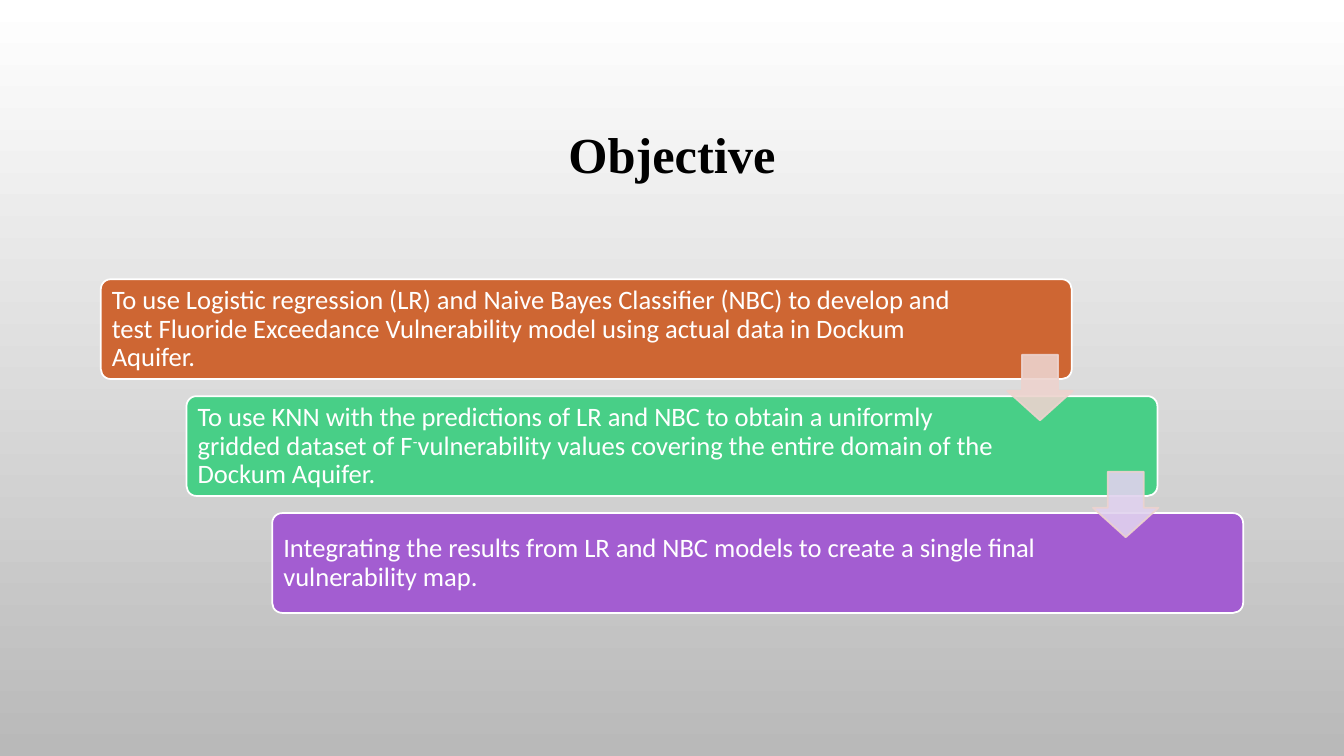
from lxml.etree import SubElement
from pptx import Presentation
from pptx.dml.color import RGBColor
from pptx.enum.shapes import MSO_SHAPE as Shape
from pptx.enum.text import MSO_ANCHOR as Anchor, PP_ALIGN as Align
from pptx.oxml.ns import qn
from pptx.util import Inches, Pt

COLORS = {
    "white": "FFFFFF", "gray": "B9B9B9", "black": "000000",
    "orange": "CE6633", "green": "48CF87", "purple": "A35DD1",
    "pink": "EDD3CE", "lavender": "E0D2EE",
}

# Each step: fill, text width, runs as (text, is superscript)
STEPS = [
    ("orange", 8.56, [
        ("To use Logistic regression (LR) and Naive Bayes Classifier (NBC) to develop and "
         "test Fluoride Exceedance Vulnerability model using actual data in Dockum Aquifer.", False)]),
    ("green", 8.08, [
        ("To use KNN with the predictions of LR and NBC to obtain a uniformly "
         "gridded dataset of F", False),
        ("-", True),
        ("vulnerability values covering the entire domain of the Dockum Aquifer.", False)]),
    ("purple", 8.08, [
        ("Integrating the results from LR and NBC models to create a single final "
         "vulnerability map.", False)]),
]
ARROW_FILLS = ["pink", "lavender"]
LEFT, TOP = 1, 2.77
STEP_X, STEP_Y = 0.85, 1.16
BAR_WIDTH, BAR_HEIGHT = 9.63, 0.99
TEXT_OFFSET, TEXT_HEIGHT = 0.03, 0.94
ARROW_X, ARROW_Y, ARROW_SIZE = 8.99, 0.75, 0.65


def rgb(name):
    return RGBColor.from_string(COLORS[name])


class SlideBuilder:
    def __init__(self, page):
        self.page = page

    def background(self, *names):
        """Fill the page from top to bottom with a gradient."""
        fill = self.page.background.fill
        fill.gradient()
        fill.gradient_angle = 270
        for stop, name in zip(fill.gradient_stops, names):
            stop.color.rgb = rgb(name)

    def shape(self, kind, area, adjustments, fill, line, opacity=100):
        shape = self.page.shapes.add_shape(kind, *map(Inches, area))
        shape.shadow.inherit = False
        for index, value in enumerate(adjustments):
            shape.adjustments[index] = value
        shape.fill.solid()
        shape.fill.fore_color.rgb = rgb(fill)
        shape.line.color.rgb = rgb(line)
        shape.line.width = Pt(1.25)
        if opacity < 100:
            for color in list(shape._element.spPr.iter(qn("a:srgbClr"))):
                SubElement(color, qn("a:alpha")).set("val", str(opacity * 1000))

    def text(self, area, runs, size, font, color, inset=(0.1, 0.05),
             align=Align.LEFT, bold=False):
        box = self.page.shapes.add_textbox(*map(Inches, area))
        frame = box.text_frame
        frame.word_wrap = True
        frame.vertical_anchor = Anchor.MIDDLE
        frame.margin_left = frame.margin_right = Inches(inset[0])
        frame.margin_top = frame.margin_bottom = Inches(inset[1])
        para = frame.paragraphs[0]
        para.alignment = align
        para.line_spacing = 0.9
        for words, superscript in runs:
            span = para.add_run()
            span.text = words
            span.font.size = Pt(size)
            span.font.name = font
            span.font.bold = bold
            span.font.color.rgb = rgb(color)
            if superscript:
                span._r.get_or_add_rPr().set("baseline", "30000")


def main():
    deck = Presentation()
    deck.slide_width, deck.slide_height = Inches(13.33), Inches(7.5)
    builder = SlideBuilder(deck.slides.add_slide(deck.slide_layouts[6]))
    builder.background("white", "gray")
    builder.text((1, 0.68, 11.33, 1.75), [("Objective", False)], 36,
                 "Times New Roman", "black", align=Align.CENTER, bold=True)

    for index, (fill, text_width, runs) in enumerate(STEPS):
        left, top = LEFT + index * STEP_X, TOP + index * STEP_Y
        builder.shape(Shape.ROUNDED_RECTANGLE, (left, top, BAR_WIDTH, BAR_HEIGHT),
                      [0.1], fill, "white")
        builder.text((left + TEXT_OFFSET, top + TEXT_OFFSET, text_width, TEXT_HEIGHT),
                     runs, 19, "Calibri", "white", inset=(0.08, 0.08))

    for index, fill in enumerate(ARROW_FILLS):
        area = (LEFT + ARROW_X + index * STEP_X, TOP + ARROW_Y + index * STEP_Y,
                ARROW_SIZE, ARROW_SIZE)
        # The head takes 45% of the height, the shaft 55% of the width
        builder.shape(Shape.DOWN_ARROW, area, [0.55, 0.45], fill, "pink", opacity=90)

    deck.save("out.pptx")


if __name__ == "__main__":
    main()
